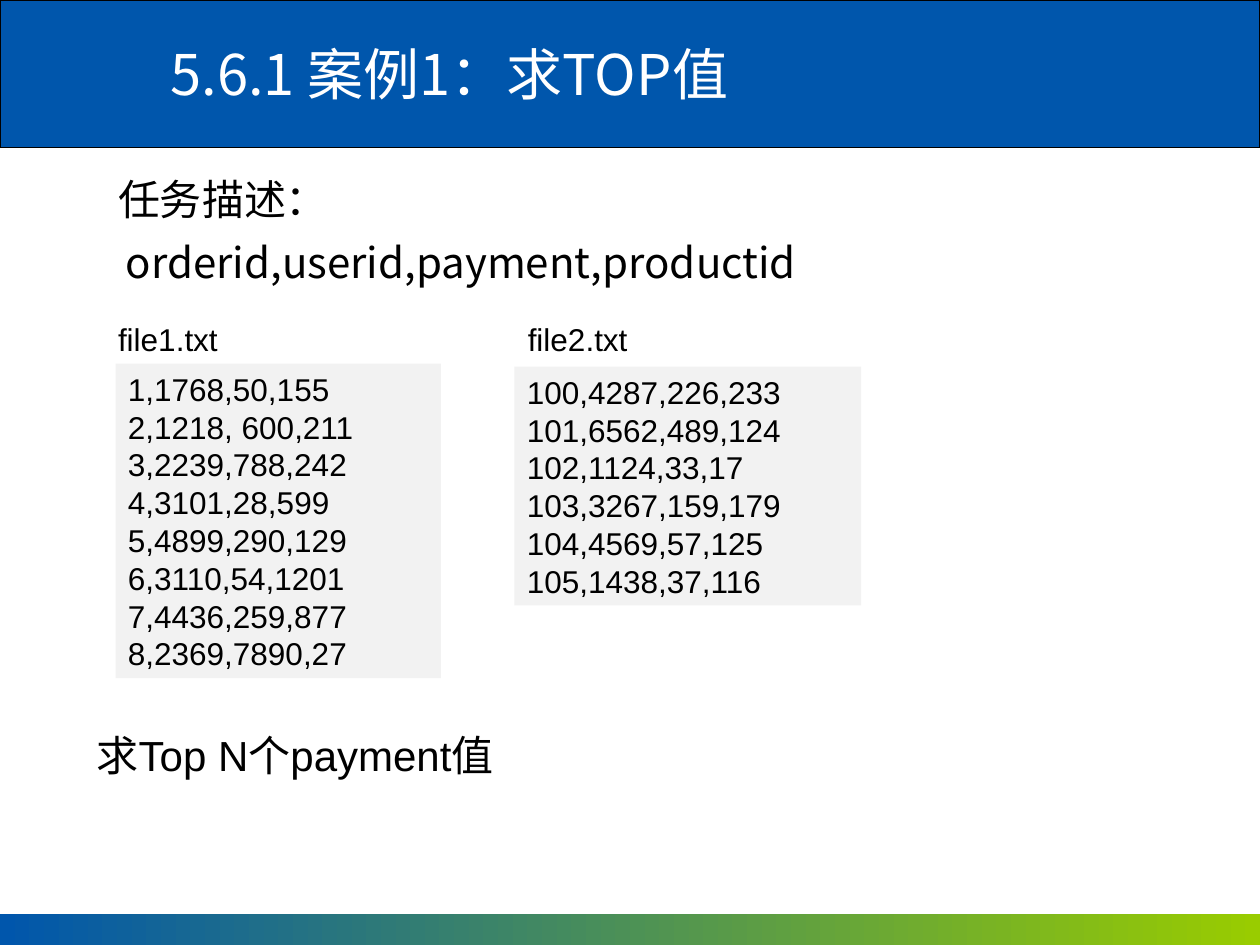
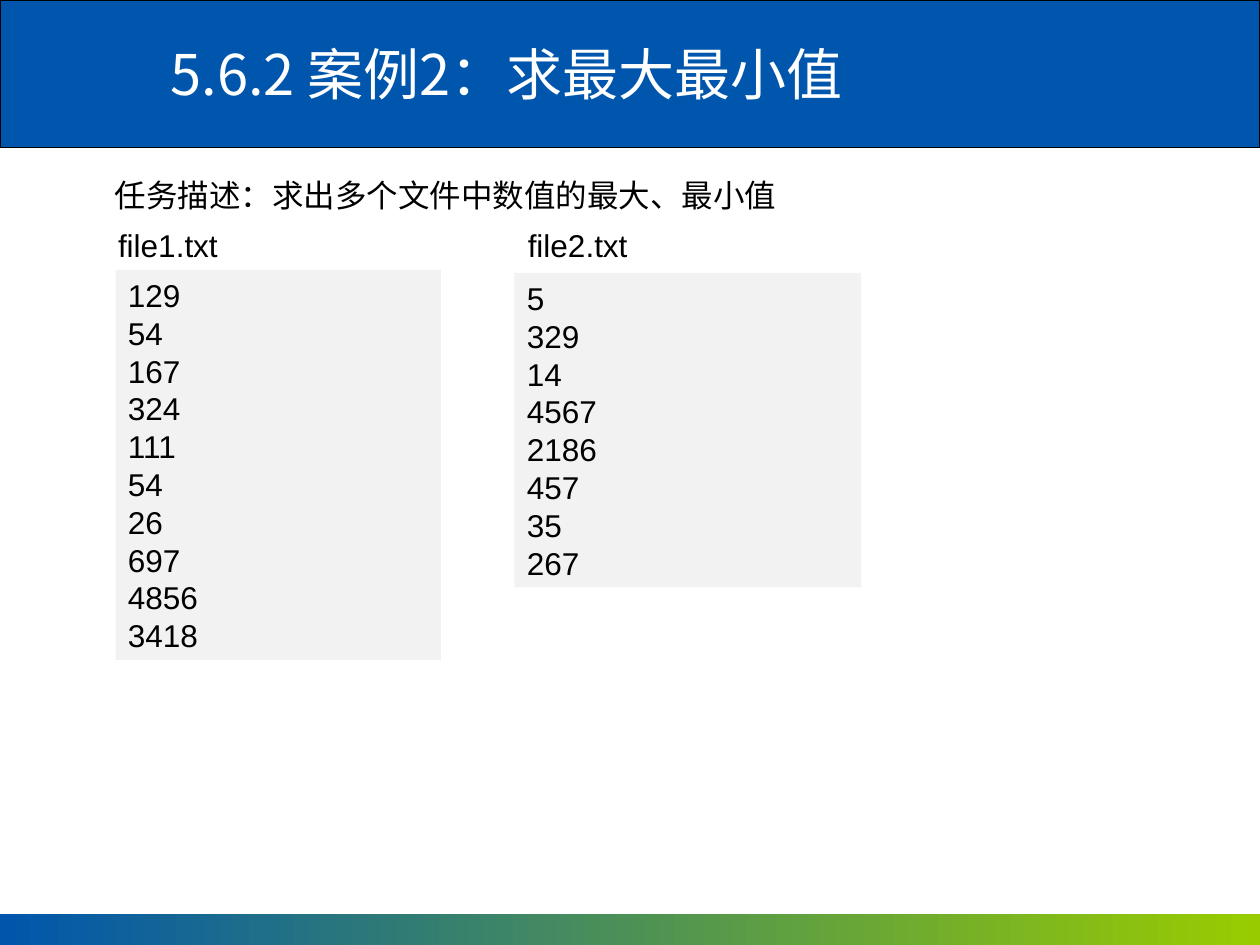
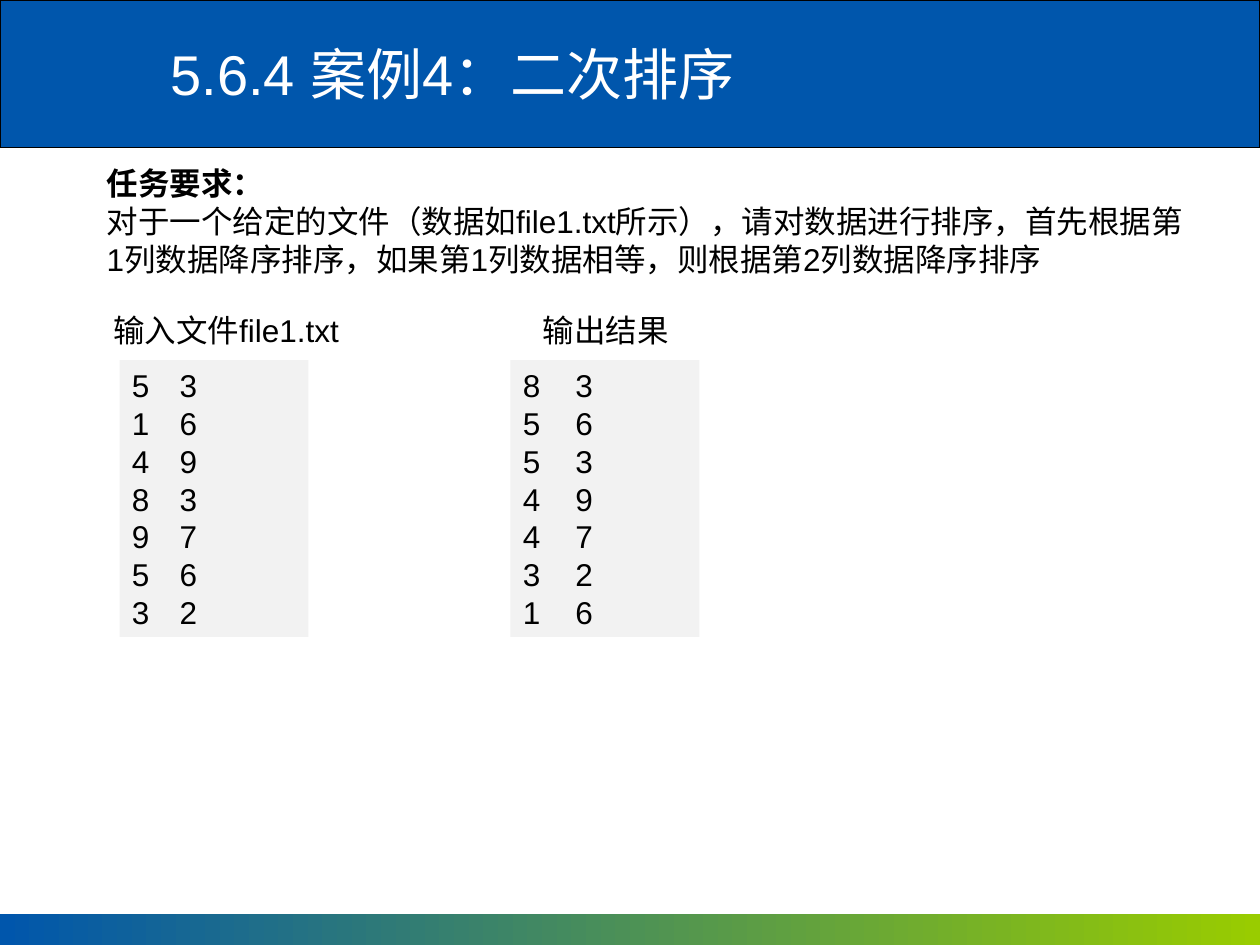
import pptx
from lxml import etree
from pptx.dml.color import RGBColor
from pptx.enum.shapes import MSO_SHAPE
from pptx.enum.text import MSO_ANCHOR, MSO_AUTO_SIZE, PP_ALIGN
from pptx.oxml.ns import qn
from pptx.util import Cm, Pt

BLUE = RGBColor(0x00, 0x56, 0xAC)
GREEN = RGBColor(0x99, 0xCC, 0x00)
GREY = RGBColor(0xF2, 0xF2, 0xF2)
WHITE = RGBColor(0xFF, 0xFF, 0xFF)
BLACK = RGBColor(0x00, 0x00, 0x00)
LATIN_FONT = "Arial"
CJK_FONT = "Noto Sans CJK SC"


def format_paragraph(paragraph, size, font_name, color=BLACK, bold=False):
    paragraph.alignment = PP_ALIGN.LEFT
    paragraph.font.size = Pt(size)
    paragraph.font.bold = bold
    paragraph.font.name = font_name
    paragraph.font.color.rgb = color
    properties = paragraph._p.pPr.find(qn("a:defRPr"))
    etree.SubElement(properties, qn("a:ea"), typeface=CJK_FONT)


def add_text(slide, left, top, width, lines, size=18, font_name=LATIN_FONT,
             fill=None, wrap=False, tab=None, bold_first=False):
    """Add a box of lines, lengths in cm; its height follows from the line count."""
    height = 0.25 + len(lines) * size * 0.0423
    shape = slide.shapes.add_textbox(Cm(left), Cm(top), Cm(width), Cm(height))
    frame = shape.text_frame
    frame.word_wrap = wrap
    frame.auto_size = MSO_AUTO_SIZE.NONE if wrap else MSO_AUTO_SIZE.SHAPE_TO_FIT_TEXT
    if fill is not None:
        shape.fill.solid()
        shape.fill.fore_color.rgb = fill
    frame.text = "\n".join(lines)
    for index, paragraph in enumerate(frame.paragraphs):
        if tab:
            tabs = etree.SubElement(paragraph._p.get_or_add_pPr(), qn("a:tabLst"))
            etree.SubElement(tabs, qn("a:tab"), pos=str(Cm(tab)), algn="l")
        format_paragraph(paragraph, size, font_name, bold=bold_first and index == 0)


presentation = pptx.Presentation()
presentation.slide_width = Cm(25.4)
presentation.slide_height = Cm(19.05)
layout = presentation.slide_layouts[5]

titles = [
    ("5.6.1 案例1：求TOP值", CJK_FONT),
    ("5.6.2 案例2：求最大最小值", CJK_FONT),
    ("5.6.4 案例4：二次排序", LATIN_FONT),
]
for title_text, title_font in titles:
    slide = presentation.slides.add_slide(layout)
    title = slide.shapes.title
    title.left, title.top, title.width, title.height = Cm(3.18), Cm(0.2), Cm(22.22), Cm(2.54)
    title.text_frame.text = title_text
    title.text_frame.vertical_anchor = MSO_ANCHOR.MIDDLE
    format_paragraph(title.text_frame.paragraphs[0], 32, title_font, WHITE)
top_slide, extremes_slide, sort_slide = presentation.slides

# Shared bands, moved to the slide master behind its placeholders
header = top_slide.shapes.add_shape(MSO_SHAPE.RECTANGLE, 0, 0, Cm(25.4), Cm(2.97))
header.fill.solid()
header.fill.fore_color.rgb = BLUE
header.line.color.rgb = BLACK
header.line.width = Pt(0.75)
footer = top_slide.shapes.add_shape(MSO_SHAPE.RECTANGLE, 0, Cm(18.42), Cm(25.4), Cm(0.63))
footer.fill.gradient()
footer.fill.gradient_angle = 0
for stop, color in zip(footer.fill.gradient_stops, (BLUE, GREEN)):
    stop.color.rgb = color
footer.line.fill.background()
for band in (footer, header):
    band.shadow.inherit = False
    presentation.slide_master.shapes.element.insert(2, band.element)

# Task descriptions
add_text(top_slide, 2.13, 3.38, 4.72, ["任务描述："], 24, CJK_FONT)
add_text(top_slide, 2.29, 4.65, 14.02, ["orderid,userid,payment,productid"], 24, CJK_FONT)
add_text(top_slide, 1.7, 14.58, 9.4, ["求Top N个payment值"], 24)
add_text(extremes_slide, 2.06, 3.43, 13.84,
         ["任务描述：求出多个文件中数值的最大、最小值"], font_name=CJK_FONT)
add_text(sort_slide, 1.9, 3.18, 22.43, [
    "任务要求：",
    "对于一个给定的文件（数据如file1.txt所示），请对数据进行排序，首先根据第1列数据降序排序，"
    "如果第1列数据相等，则根据第2列数据降序排序",
], wrap=True, bold_first=True)

# Input files of the first two cases
orders1 = ["1,1768,50,155", "2,1218, 600,211", "3,2239,788,242", "4,3101,28,599",
           "5,4899,290,129", "6,3110,54,1201", "7,4436,259,877", "8,2369,7890,27"]
orders2 = ["100,4287,226,233", "101,6562,489,124", "102,1124,33,17",
           "103,3267,159,179", "104,4569,57,125", "105,1438,37,116"]
numbers1 = ["129", "54", "167", "324", "111", "54", "26", "697", "4856", "3418"]
numbers2 = ["5", "329", "14", "4567", "2186", "457", "35", "267"]
for slide, label_top, file1, file2 in [
    (top_slide, 6.33, orders1, orders2),
    (extremes_slide, 4.44, numbers1, numbers2),
]:
    add_text(slide, 2.13, label_top, 2.69, ["file1.txt"])
    add_text(slide, 10.39, label_top, 2.69, ["file2.txt"])
    add_text(slide, 2.33, label_top + 1, 6.56, file1, fill=GREY, wrap=True)
    add_text(slide, 10.37, label_top + 1.06, 6.99, file2, fill=GREY, wrap=True)

# Secondary sort: input and output pairs
input_pairs = [(5, 3), (1, 6), (4, 9), (8, 3), (9, 7), (5, 6), (3, 2)]
output_pairs = [(8, 3), (5, 6), (5, 3), (4, 9), (4, 7), (3, 2), (1, 6)]
for label, label_left, label_width, box_left, tab, pairs in [
    ("输入文件file1.txt", 2.03, 5.21, 2.41, 0.96, input_pairs),
    ("输出结果", 10.69, 3.05, 10.29, 1.06, output_pairs),
]:
    add_text(sort_slide, label_left, 6.15, label_width, [label])
    add_text(sort_slide, box_left, 7.26, 3.81,
             [f"{first}\t{second}" for first, second in pairs],
             fill=GREY, wrap=True, tab=tab)

presentation.save("out.pptx")
